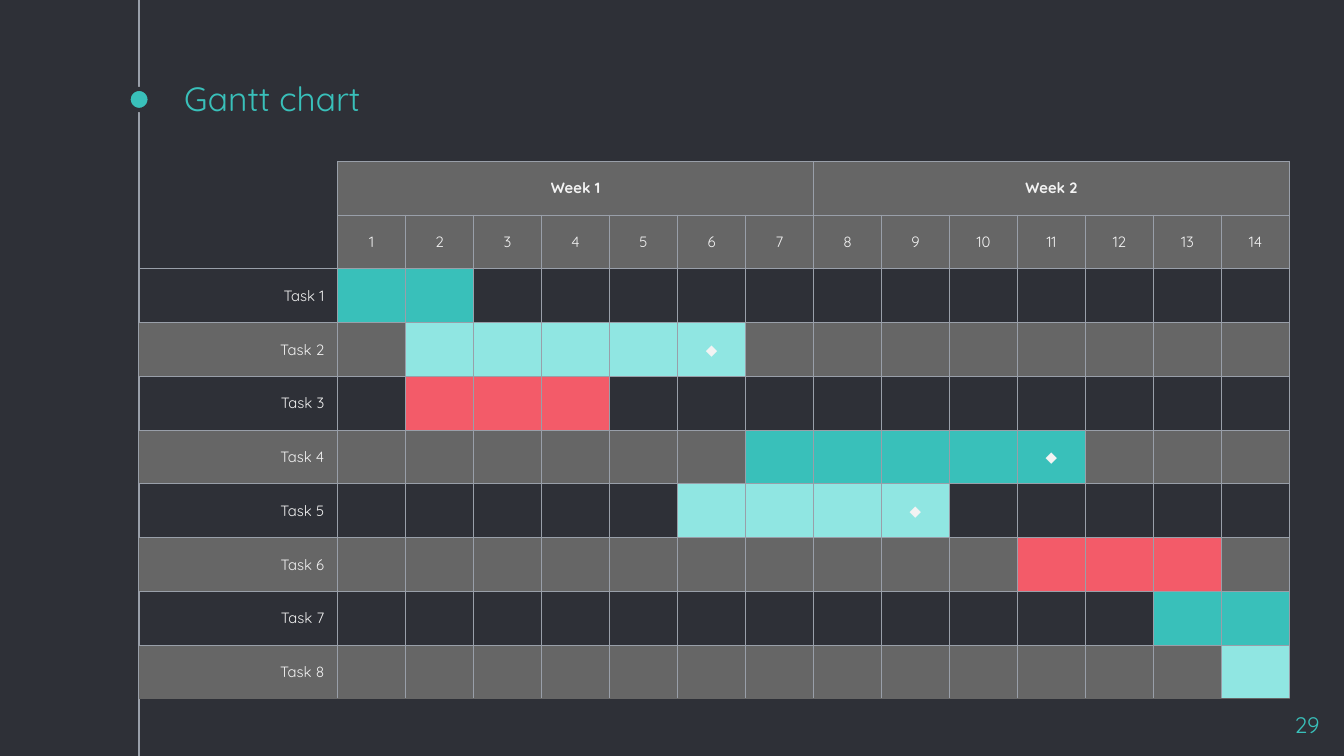
from dataclasses import dataclass
from lxml.etree import SubElement
from pptx import Presentation
from pptx.dml.color import RGBColor
from pptx.enum.shapes import MSO_CONNECTOR, MSO_SHAPE
from pptx.enum.text import MSO_ANCHOR, MSO_AUTO_SIZE, PP_ALIGN
from pptx.oxml.ns import qn
from pptx.util import Cm, Pt


@dataclass(frozen=True)
class Theme:
    font: str = "Quicksand"
    background: str = "2E3037"
    teal: str = "39C0BA"
    aqua: str = "90E6E2"
    red: str = "F35B69"
    band: str = "666666"
    rule: str = "999FA9"
    text: str = "F3F3F3"
    title_size: float = 18
    number_size: float = 12
    table_size: float = 8
    rule_width: float = 0.75
    halo_width: float = 2.25


THEME = Theme()
DAYS = 14
DAYS_PER_WEEK = 7
HEADER_ROWS = 2
RAIL_X = 2.63
TASKS = [
    ("Task 1", 1, 2, THEME.teal, None),
    ("Task 2", 2, 6, THEME.aqua, 6),
    ("Task 3", 2, 4, THEME.red, None),
    ("Task 4", 7, 11, THEME.teal, 11),
    ("Task 5", 6, 9, THEME.aqua, 9),
    ("Task 6", 11, 13, THEME.red, None),
    ("Task 7", 13, 14, THEME.teal, None),
    ("Task 8", 14, 14, THEME.aqua, None),
]


def set_attributes(target, values):
    for name, value in values.items():
        setattr(target, name, value)


class SlideBuilder:
    def __init__(self, slide, theme):
        self.slide = slide
        self.theme = theme
        slide.background.fill.solid()
        slide.background.fill.fore_color.rgb = RGBColor.from_string(theme.background)

    def add_text(self, frame, text, size, color, alignment, bold=False):
        paragraph = frame.paragraphs[0]
        paragraph.alignment = alignment
        run = paragraph.add_run()
        run.text = text
        set_attributes(run.font, {"name": self.theme.font, "size": Pt(size), "bold": bold})
        run.font.color.rgb = RGBColor.from_string(color)

    def format_frame(self, frame, anchor):
        inset = Cm(0.25)
        set_attributes(frame, {
            "word_wrap": True, "auto_size": MSO_AUTO_SIZE.NONE, "vertical_anchor": anchor,
            "margin_left": inset, "margin_right": inset,
            "margin_top": inset, "margin_bottom": inset,
        })

    def rail(self, x, height):
        line = self.slide.shapes.add_connector(MSO_CONNECTOR.STRAIGHT, Cm(x), 0, Cm(x), height)
        line.line.color.rgb = RGBColor.from_string(self.theme.rule)
        line.line.width = Pt(self.theme.rule_width)
        SubElement(line._element.spPr, qn("a:effectLst"))

    def dot(self, center_x, center_y, size):
        shape = self.slide.shapes.add_shape(
            MSO_SHAPE.OVAL, Cm(center_x - size / 2), Cm(center_y - size / 2), Cm(size), Cm(size))
        shape.shadow.inherit = False
        shape.fill.solid()
        shape.fill.fore_color.rgb = RGBColor.from_string(self.theme.teal)
        shape.line.color.rgb = RGBColor.from_string(self.theme.background)
        shape.line.width = Pt(self.theme.halo_width)

    def title(self, text, left, top, width, height):
        shape = self.slide.shapes.title
        set_attributes(shape, {
            "left": Cm(left), "top": Cm(top), "width": Cm(width), "height": Cm(height)})
        self.format_frame(shape.text_frame, MSO_ANCHOR.BOTTOM)
        self.add_text(shape.text_frame, text, self.theme.title_size, self.theme.teal,
                      PP_ALIGN.LEFT)

    def page_number(self, text, left, top, width, height):
        shape = self.slide.shapes.add_textbox(Cm(left), Cm(top), Cm(width), Cm(height))
        self.format_frame(shape.text_frame, MSO_ANCHOR.TOP)
        self.add_text(shape.text_frame, text, self.theme.number_size, self.theme.teal,
                      PP_ALIGN.RIGHT)

    def cell(self, cell, text, fill, borders, alignment=PP_ALIGN.CENTER, bold=False):
        side, edge = (Cm(0.25), Cm(0.13)) if text else (0, 0)
        set_attributes(cell, {
            "vertical_anchor": MSO_ANCHOR.MIDDLE, "margin_left": side, "margin_right": side,
            "margin_top": edge, "margin_bottom": edge,
        })
        properties = cell._tc.get_or_add_tcPr()
        for name in "LRTB":
            line = SubElement(properties, qn(f"a:ln{name}"), w=str(Pt(self.theme.rule_width)))
            if name in borders:
                solid = SubElement(line, qn("a:solidFill"))
                SubElement(solid, qn("a:srgbClr"), val=borders[name])
            else:
                SubElement(line, qn("a:noFill"))
        if fill:
            cell.fill.solid()
            cell.fill.fore_color.rgb = RGBColor.from_string(fill)
        else:
            cell.fill.background()
        if text:
            self.add_text(cell.text_frame, text, self.theme.table_size, self.theme.text,
                          alignment, bold)

    def gantt(self, tasks, left, top, label_width, days_width, height):
        row_count = HEADER_ROWS + len(tasks)
        table = self.slide.shapes.add_table(
            row_count, DAYS + 1, Cm(left), Cm(top), Cm(label_width + days_width), Cm(height)).table
        set_attributes(table, {"first_row": False, "horz_banding": False})
        for index, column in enumerate(table.columns):
            column.width = Cm(days_width / DAYS if index else label_width)
        for row in table.rows:
            row.height = Cm(height / row_count)

        rule, band = self.theme.rule, self.theme.band
        grid = dict.fromkeys("LRTB", rule)
        self.cell(table.cell(0, 0), "", None, {"R": rule})
        self.cell(table.cell(1, 0), "", None, {"R": rule, "B": rule})
        for day in range(1, DAYS + 1):
            week, offset = divmod(day - 1, DAYS_PER_WEEK)
            heading = "" if offset else f"Week {week + 1}"
            self.cell(table.cell(0, day), heading, band, grid, bold=True)
            self.cell(table.cell(1, day), str(day), band, grid)
        for first in range(1, DAYS + 1, DAYS_PER_WEEK):
            table.cell(0, first).merge(table.cell(0, first + DAYS_PER_WEEK - 1))

        for index, (name, start, end, color, milestone) in enumerate(tasks):
            row = HEADER_ROWS + index
            base = band if index % 2 else None
            bottom = band if row == row_count - 1 else rule
            self.cell(table.cell(row, 0), name, base,
                      {"R": rule, "T": rule, "B": bottom}, PP_ALIGN.RIGHT)
            for day in range(1, DAYS + 1):
                self.cell(table.cell(row, day), "◆" if day == milestone else "",
                          color if start <= day <= end else base, {**grid, "B": bottom})


def main():
    presentation = Presentation()
    set_attributes(presentation, {"slide_width": Cm(25.4), "slide_height": Cm(14.29)})
    slide = presentation.slides.add_slide(presentation.slide_layouts[5])
    builder = SlideBuilder(slide, THEME)
    builder.rail(RAIL_X, presentation.slide_height)
    builder.dot(RAIL_X, 1.88, 0.4)
    builder.title("Gantt chart", 3.23, 1.52, 19.05, 0.97)
    builder.page_number("29", 23.67, 13.2, 1.52, 0.87)
    builder.gantt(TASKS, RAIL_X, 3.05, 3.75, 18, 10.16)
    presentation.save("out.pptx")


if __name__ == "__main__":
    main()
